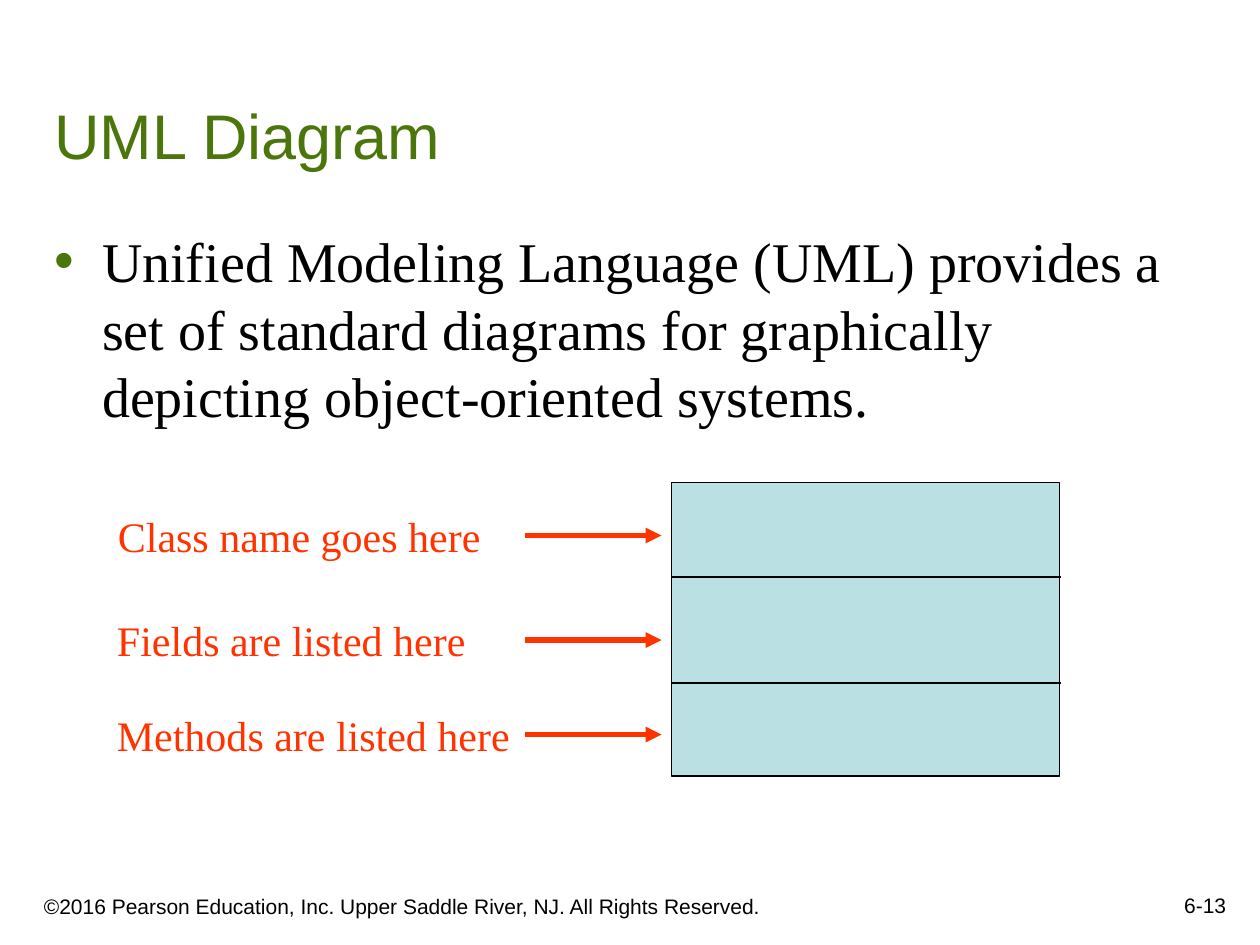
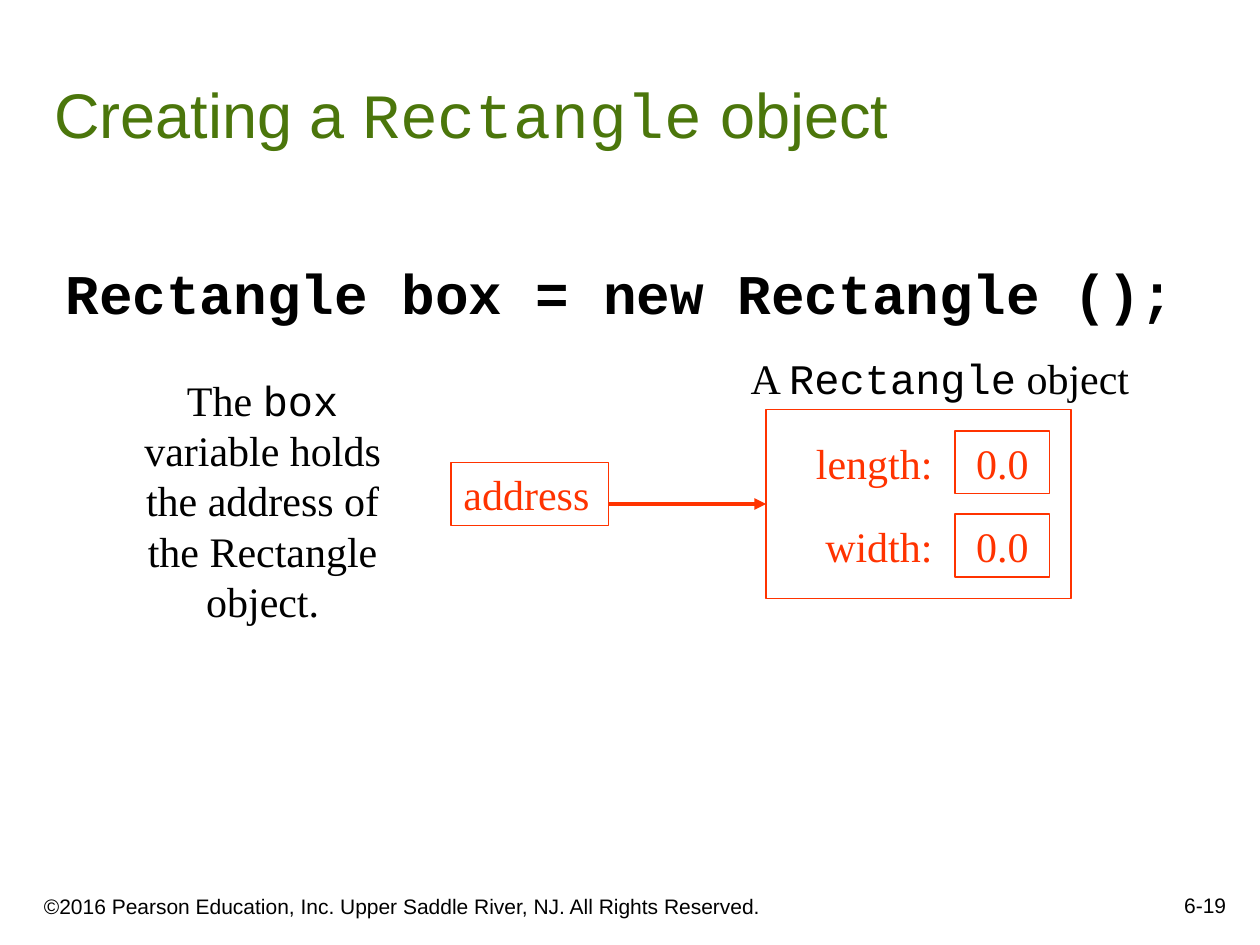
import pptx
import pptx.dml.color
import pptx.enum.dml
import pptx.enum.shapes
import pptx.enum.text
import pptx.oxml
import pptx.oxml.ns
import pptx.util
from pptx.util import Inches

# Shared look
GREEN, RED, BLACK, PALE_BLUE = "4B760B", "FF3300", "000000", "BBE0E3"
SANS, SERIF, MONO = "Arial", "Times New Roman", "Courier New"
COPYRIGHT = "©2016 Pearson Education, Inc. Upper Saddle River, NJ. All Rights Reserved."
LEFT = pptx.enum.text.PP_ALIGN.LEFT
CENTER = pptx.enum.text.PP_ALIGN.CENTER
RIGHT = pptx.enum.text.PP_ALIGN.RIGHT
TOP = pptx.enum.text.MSO_ANCHOR.TOP
BOTTOM = pptx.enum.text.MSO_ANCHOR.BOTTOM


def rgb(color):
    return pptx.dml.color.RGBColor.from_string(color)


def add_xml(parent, tag, **attributes):
    element = pptx.oxml.parse_xml(f"<a:{tag} {pptx.oxml.ns.nsdecls('a')}/>")
    for name, value in attributes.items():
        element.set(name, value)
    parent.append(element)
    return element


def write(shape, runs, size, color, align=LEFT, anchor=TOP, bold=False):
    """Fill the shape with one paragraph made of (text, font) runs."""
    frame = shape.text_frame
    frame.word_wrap = True
    frame.auto_size = pptx.enum.text.MSO_AUTO_SIZE.NONE
    frame.vertical_anchor = anchor
    paragraph = frame.paragraphs[0]
    paragraph.alignment = align
    paragraph.space_before = pptx.util.Pt(0)
    for text, font in runs:
        run = paragraph.add_run()
        run.text = text
        run.font.name = font
        run.font.size = pptx.util.Pt(size)
        run.font.bold = bold
        run.font.color.rgb = rgb(color)


def place(shape, left, top, width, height):
    shape.left, shape.top = Inches(left), Inches(top)
    shape.width, shape.height = Inches(width), Inches(height)


def add_label(slide, box, runs, size=24, color=RED, align=LEFT, anchor=TOP):
    label = slide.shapes.add_textbox(*map(Inches, box))
    write(label, runs, size, color, align, anchor)


def add_box(slide, box, line, fill=None, text=None, align=CENTER):
    rectangle = slide.shapes.add_shape(
        pptx.enum.shapes.MSO_SHAPE.RECTANGLE, *map(Inches, box))
    rectangle.shadow.inherit = False
    if fill:
        rectangle.fill.solid()
        rectangle.fill.fore_color.rgb = rgb(fill)
    else:
        rectangle.fill.background()
    rectangle.line.color.rgb = rgb(line)
    rectangle.line.width = pptx.util.Pt(0.75)
    if text:
        write(rectangle, [(text, SERIF)], 24, line, align)
    return rectangle


def add_line(slide, start, end, color, weight, arrow=False):
    line = slide.shapes.add_connector(
        pptx.enum.shapes.MSO_CONNECTOR.STRAIGHT, *map(Inches, start + end))
    line.line.color.rgb = rgb(color)
    line.line.width = pptx.util.Pt(weight)
    if arrow:
        add_xml(line.line._get_or_add_ln(), "tailEnd", type="triangle")
    add_xml(line._element.spPr, "effectLst")
    return line


def add_body(slide, box, runs, bullet=False, bold=False):
    body = slide.placeholders[1]
    place(body, *box)
    body.text_frame.margin_right = 0
    properties = body.text_frame.paragraphs[0]._p.get_or_add_pPr()
    properties.set("marL", str(Inches(0.38)))
    properties.set("indent", str(Inches(-0.38)))
    if bullet:
        bullet_color = add_xml(properties, "buClr")
        add_xml(bullet_color, "srgbClr", val=GREEN)
        add_xml(properties, "buFont", typeface=SANS)
        add_xml(properties, "buChar", char="•")
    else:
        add_xml(properties, "buNone")
    write(body, runs, 32, BLACK, bold=bold)


def add_titled_slide(deck, title_runs, title_box, number):
    slide = deck.slides.add_slide(deck.slide_layouts[1])
    add_label(slide, (0.25, 6.92, 6.08, 0.42), [(COPYRIGHT, SANS)], 12, BLACK,
              anchor=BOTTOM)
    add_label(slide, (7.75, 6.83, 2.08, 0.5), [(number, SANS)], 12, BLACK,
              RIGHT, BOTTOM)
    place(slide.shapes.title, *title_box)
    write(slide.shapes.title, title_runs, 36, GREEN, anchor=BOTTOM)
    return slide


def build_uml_slide(deck):
    slide = add_titled_slide(deck, [("UML Diagram", SANS)],
                             (0.33, 0.33, 9.42, 1.09), "6-13")
    add_body(slide, (0.33, 1.75, 9.07, 5), [(
        "Unified Modeling Language (UML) provides a set of standard diagrams "
        "for graphically depicting object-oriented systems.", SERIF)], bullet=True)

    # Class box with its two dividers
    add_box(slide, (5.33, 3.83, 3.08, 2.33), BLACK, PALE_BLUE)
    for divider in (4.58, 5.42):
        add_line(slide, (5.33, divider), (8.42, divider), BLACK, 0.75)

    # Captions, each with an arrow to its compartment
    captions = [
        ("Class name goes here", 0.75, 4, 3.25, CENTER),
        ("Fields are listed here", 0.83, 4.83, 3.25, LEFT),
        ("Methods are listed here", 0.83, 5.58, 3.33, LEFT),
    ]
    for caption, left, top, width, align in captions:
        add_label(slide, (left, top, width, 0.5), [(caption, SERIF)], align=align)
        add_line(slide, (4.17, top + 0.25), (5.25, top + 0.25), RED, 3, arrow=True)


def build_object_slide(deck):
    slide = add_titled_slide(
        deck, [("Creating a ", SANS), ("Rectangle", MONO), (" object", SANS)],
        (0.33, 0, 8.5, 1.25), "6-19")
    add_body(slide, (0.42, 2, 9.08, 0.75),
             [("Rectangle box = new Rectangle ();", MONO)], bold=True)

    # Variable and the object's fields
    add_box(slide, (3.58, 3.67, 1.25, 0.5), RED, text="address", align=LEFT)
    for field, top in (("length:", 3.42), ("width:", 4.08)):
        add_box(slide, (7.58, top, 0.75, 0.5), RED, text="0.0")
        add_label(slide, (6.25, top, 1.25, 0.5), [(field, SERIF)], align=RIGHT)

    # Object outline and the reference to it
    rectangle_object = add_box(slide, (6.08, 3.25, 2.42, 1.5), RED)
    reference = add_line(slide, (4.83, 4), (6.08, 4), RED, 2.25, arrow=True)
    reference.end_connect(rectangle_object, 1)

    # Explanations
    add_label(slide, (0.92, 2.92, 2.33, 2.1), [
        ("The ", SERIF), ("box ", MONO),
        ("variable holds the address of the Rectangle object.", SERIF),
    ], color=BLACK, align=CENTER)
    add_label(slide, (5.5, 2.75, 3.92, 0.5), [
        ("A ", SERIF), ("Rectangle", MONO), (" object", SERIF),
    ], color=BLACK, align=CENTER)


def main():
    deck = pptx.Presentation()
    deck.slide_width, deck.slide_height = Inches(10), Inches(7.5)
    build_uml_slide(deck)
    build_object_slide(deck)
    deck.save("out.pptx")


if __name__ == "__main__":
    main()
